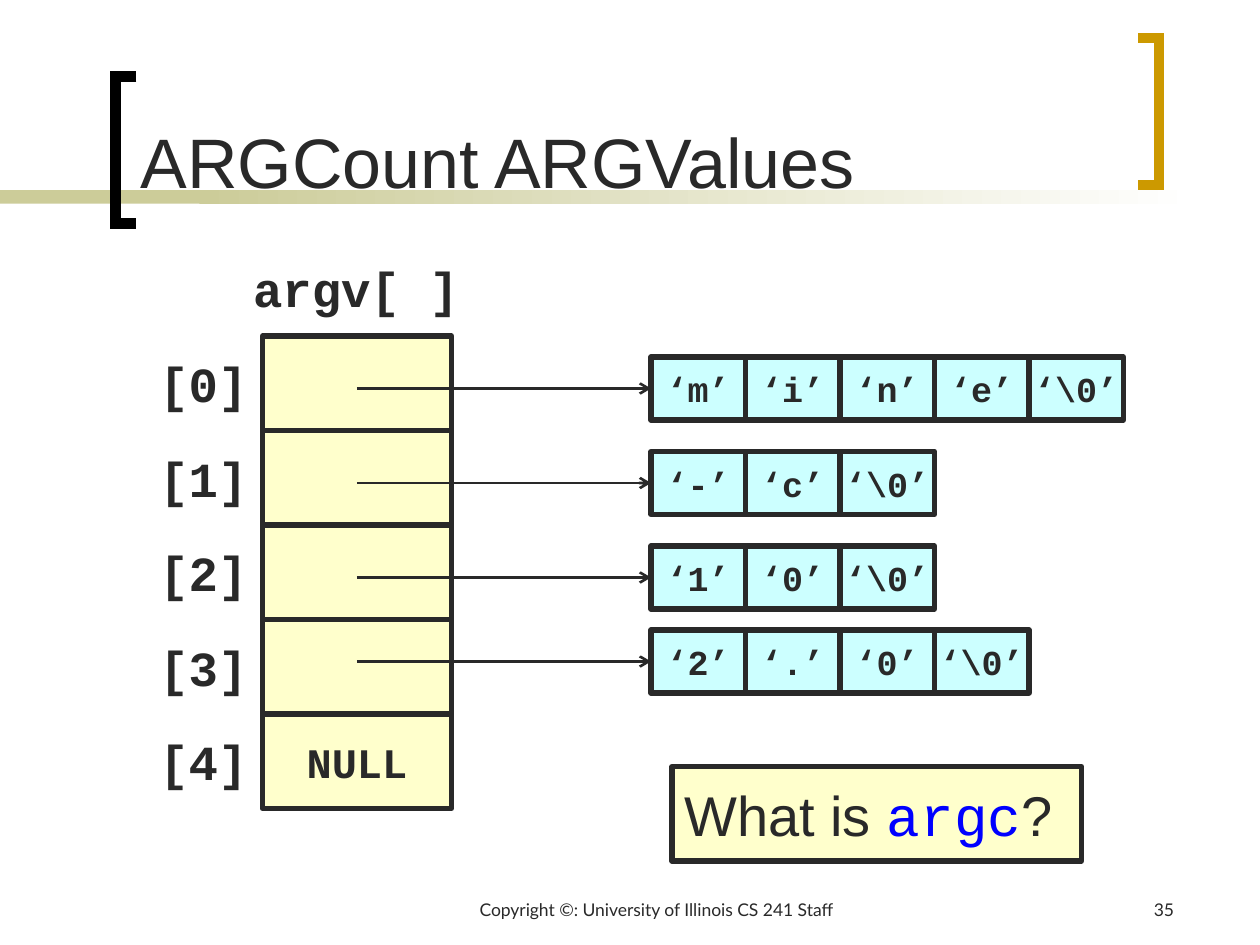
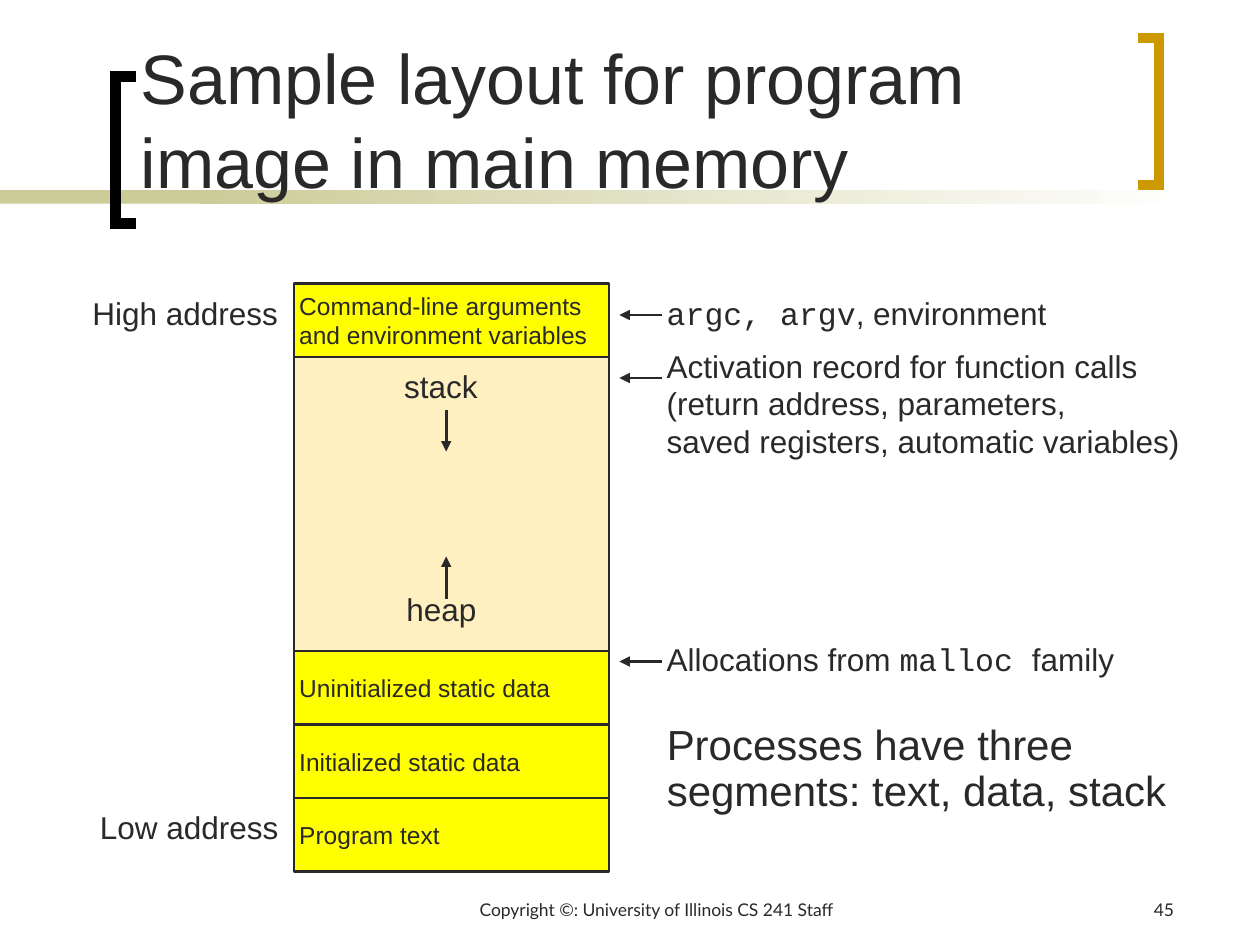
from dataclasses import dataclass
from typing import Any, NamedTuple

from lxml.etree import SubElement
from pptx import Presentation
from pptx.dml.color import RGBColor
from pptx.enum.shapes import MSO_CONNECTOR, MSO_SHAPE
from pptx.enum.text import MSO_ANCHOR, MSO_AUTO_SIZE, PP_ALIGN
from pptx.oxml.ns import qn
from pptx.util import Pt

EMU_PER_PX = 7620


@dataclass(frozen=True)
class Theme:
    ink: str = "292929"
    black: str = "000000"
    gold: str = "CC9900"
    olive: str = "CCCC99"
    white: str = "FFFFFF"
    cream: str = "FFFFCC"
    cyan: str = "CCFFFF"
    yellow: str = "FFFF00"
    sand: str = "FFF0C2"
    keyword: str = "0000FF"
    sans: str = "Arial"
    mono: str = "Courier New"
    small: str = "Lato"
    title_size: int = 40
    question_size: int = 32
    index_size: int = 28
    remark_size: int = 24
    cell_size: int = 20
    note_size: int = 18
    segment_size: int = 14
    footer_size: int = 10
    bracket_width: float = 6
    cell_width: float = 3
    thin_width: float = 1.5


THEME = Theme()


class Box(NamedTuple):
    left: int
    top: int
    width: int
    height: int


class Insets(NamedTuple):
    left: int = 12
    top: int = 6
    right: int = 12
    bottom: int = 6


class Point(NamedTuple):
    x: int
    y: int


@dataclass(frozen=True)
class Run:
    text: str
    size: int
    font: str = THEME.sans
    color: str = THEME.ink
    bold: bool = False


@dataclass(frozen=True)
class Text:
    paragraphs: list[list[Run]]
    insets: Insets = Insets()
    anchor: MSO_ANCHOR = MSO_ANCHOR.TOP
    align: PP_ALIGN = PP_ALIGN.LEFT
    wrap: bool = True
    spacing: float = 1.0


@dataclass(frozen=True)
class Segment:
    top: int
    height: int
    color: str
    caption: str = ""


@dataclass(frozen=True)
class Note:
    box: Box
    paragraphs: list[list[Run]]


@dataclass(frozen=True)
class Argument:
    top: int
    characters: list[str]


NOTE_INSETS = Insets(5, 0, 5, 0)


def px(length: int) -> int:
    return length * EMU_PER_PX


def scaled(box: Box) -> list[int]:
    return [px(length) for length in box]


def apply(target: Any, values: dict[str, Any]) -> None:
    for attribute, value in values.items():
        setattr(target, attribute, value)


def write(frame: Any, text: Text) -> None:
    apply(frame, {
        "word_wrap": text.wrap,
        "auto_size": MSO_AUTO_SIZE.NONE if text.wrap else MSO_AUTO_SIZE.SHAPE_TO_FIT_TEXT,
        "vertical_anchor": text.anchor,
        **{f"margin_{side}": px(inset) for side, inset in text.insets._asdict().items()},
    })
    for number, runs in enumerate(text.paragraphs):
        paragraph = frame.add_paragraph() if number else frame.paragraphs[0]
        apply(paragraph, {"alignment": text.align, "line_spacing": text.spacing})
        for run in runs:
            portion = paragraph.add_run()
            portion.text = run.text
            apply(portion.font, {"name": run.font, "size": Pt(run.size), "bold": run.bold})
            portion.font.color.rgb = RGBColor.from_string(run.color)


def stroke(line: Any, color: str, width: float) -> None:
    line.color.rgb = RGBColor.from_string(color)
    line.width = Pt(width)


def add_text(slide: Any, box: Box, text: Text) -> None:
    write(slide.shapes.add_textbox(*scaled(box)).text_frame, text)


def add_block(slide: Any, box: Box, color: str, width: float = 0, text: Text | None = None) -> Any:
    block = slide.shapes.add_shape(MSO_SHAPE.RECTANGLE, *scaled(box))
    block.shadow.inherit = False
    block.fill.solid()
    block.fill.fore_color.rgb = RGBColor.from_string(color)
    if width:
        stroke(block.line, THEME.ink, width)
    else:
        block.line.fill.background()
    if text:
        write(block.text_frame, text)
    return block


def add_arrow(slide: Any, start: Point, end: Point, head: str) -> None:
    arrow = slide.shapes.add_connector(MSO_CONNECTOR.STRAIGHT, *map(px, start + end))
    stroke(arrow.line, THEME.ink, THEME.thin_width)
    properties = arrow._element.spPr
    SubElement(properties.find(qn("a:ln")), qn("a:tailEnd"), type=head)
    SubElement(properties, qn("a:effectLst"))


def add_bracket(slide: Any, tip: int, spine: int, top: int, color: str) -> None:
    bottom = top + 140
    builder = slide.shapes.build_freeform(tip, top, scale=EMU_PER_PX)
    builder.add_line_segments([(spine, top), (spine, bottom), (tip, bottom)], close=False)
    bracket = builder.convert_to_shape()
    bracket.shadow.inherit = False
    bracket.fill.background()
    stroke(bracket.line, color, THEME.bracket_width)
    SubElement(bracket._element.spPr.find(qn("a:ln")), qn("a:miter"), lim="800000")


def add_page(deck: Any, title: str, number: int) -> Any:
    slide = deck.slides.add_slide(deck.slide_layouts[5])
    add_block(slide, Box(0, 181, 280, 13), THEME.olive)
    fade = add_block(slide, Box(190, 181, 950, 13), THEME.olive)
    fade.fill.gradient()
    fade.fill.gradient_angle = 0
    for stop, color in zip(fade.fill.gradient_stops, (THEME.olive, THEME.white)):
        stop.color.rgb = RGBColor.from_string(color)
    add_bracket(slide, 130, 110, 73, THEME.black)
    add_bracket(slide, 1084, 1104, 36, THEME.gold)

    heading = slide.shapes.title
    slide.shapes._spTree.append(heading._element)
    apply(heading, dict(zip(Box._fields, scaled(Box(122, 13, 940, 186)))))
    write(heading.text_frame, Text([[Run(title, THEME.title_size)]],
                                   Insets(12, 6, 17, 6), MSO_ANCHOR.BOTTOM))

    copyright_notice = "Copyright ©: University of Illinois CS 241 Staff"
    for box, words, align in (
        (Box(880, 850, 250, 30), str(number), PP_ALIGN.RIGHT),
        (Box(370, 850, 510, 30), copyright_notice, PP_ALIGN.CENTER),
    ):
        add_text(slide, box, Text([[Run(words, THEME.footer_size, THEME.small)]], align=align))
    return slide


def code(words: str, size: int) -> list[list[Run]]:
    return [[Run(words, size, THEME.mono, bold=True)]]


def build_arguments(deck: Any) -> None:
    slide = add_page(deck, "ARGCount ARGValues", 35)
    pitch, slots = 90, 5
    for index in range(slots):
        null = Text(code("NULL", THEME.remark_size), anchor=MSO_ANCHOR.MIDDLE,
                    align=PP_ALIGN.CENTER) if index == slots - 1 else None
        add_block(slide, Box(250, 320 + index * pitch, 180, pitch),
                  THEME.cream, THEME.cell_width, null)
        add_text(slide, Box(140, 331 + index * pitch, 109, 68),
                 Text(code(f"[{index}]", THEME.index_size), wrap=False))

    arguments = [
        Argument(340, ["m", "i", "n", "e", r"\0"]),
        Argument(430, ["-", "c", r"\0"]),
        Argument(520, ["1", "0", r"\0"]),
        Argument(600, ["2", ".", "0", r"\0"]),
    ]
    for argument in arguments:
        for column, character in enumerate(argument.characters):
            add_block(slide, Box(620 + column * pitch, argument.top, pitch, 60),
                      THEME.cyan, THEME.cell_width,
                      Text(code(f"‘{character}’", THEME.cell_size), Insets(0, 6, 0, 6),
                           MSO_ANCHOR.MIDDLE, PP_ALIGN.CENTER))
    for argument in arguments:
        middle = argument.top + 30
        add_arrow(slide, Point(340, middle), Point(620, middle), "arrow")

    add_text(slide, Box(228, 240, 222, 68),
             Text(code("argv[ ]", THEME.index_size), align=PP_ALIGN.CENTER, wrap=False))
    question = [Run("What is ", THEME.question_size),
                Run("argc", THEME.question_size, THEME.mono, THEME.keyword),
                Run("?", THEME.question_size)]
    add_block(slide, Box(640, 730, 390, 90), THEME.cream, THEME.cell_width,
              Text([question], anchor=MSO_ANCHOR.MIDDLE))


def build_memory(deck: Any) -> None:
    slide = add_page(deck, "Sample layout for program image in main memory", 45)
    for segment in (
        Segment(270, 70, THEME.yellow, "Command-line arguments and environment variables"),
        Segment(340, 280, THEME.sand),
        Segment(620, 70, THEME.yellow, "Uninitialized static data"),
        Segment(690, 70, THEME.yellow, "Initialized static data"),
        Segment(760, 70, THEME.yellow, "Program text"),
    ):
        caption = Text([[Run(segment.caption, THEME.segment_size)]], NOTE_INSETS,
                       MSO_ANCHOR.MIDDLE) if segment.caption else None
        add_block(slide, Box(280, segment.top, 300, segment.height),
                  segment.color, THEME.thin_width, caption)

    size = THEME.note_size
    for note in (
        Note(Box(380, 350, 90, 47), [[Run("stack", size)]]),
        Note(Box(382, 562, 86, 47), [[Run("heap", size)]]),
        Note(Box(83, 280, 197, 47), [[Run("High address", size)]]),
        Note(Box(90, 770, 191, 47), [[Run("Low address", size)]]),
        Note(Box(630, 280, 382, 50),
             [[Run("argc, argv", size, THEME.mono), Run(", environment", size)]]),
        Note(Box(630, 330, 509, 116), [
            [Run("Activation record for function calls", size)],
            [Run("(return address, parameters,", size)],
            [Run("saved registers, automatic variables)", size)],
        ]),
        Note(Box(630, 610, 439, 53), [[Run("Allocations from ", size),
                                       Run("malloc ", size, THEME.mono),
                                       Run("family", size)]]),
    ):
        add_text(slide, note.box, Text(note.paragraphs, NOTE_INSETS, wrap=False))
    remark = "Processes have three segments: text, data, stack"
    add_text(slide, Box(630, 690, 532, 102),
             Text([[Run(remark, THEME.remark_size)]], NOTE_INSETS, spacing=0.9))

    for start, end in ((390, 430), (570, 530)):
        add_arrow(slide, Point(425, start), Point(425, end), "triangle")
    for level in (300, 360, 630):
        add_arrow(slide, Point(630, level), Point(590, level), "triangle")


def main() -> None:
    deck = Presentation()
    apply(deck, {"slide_width": px(1200), "slide_height": px(900)})
    build_arguments(deck)
    build_memory(deck)
    deck.save("out.pptx")


if __name__ == "__main__":
    main()
